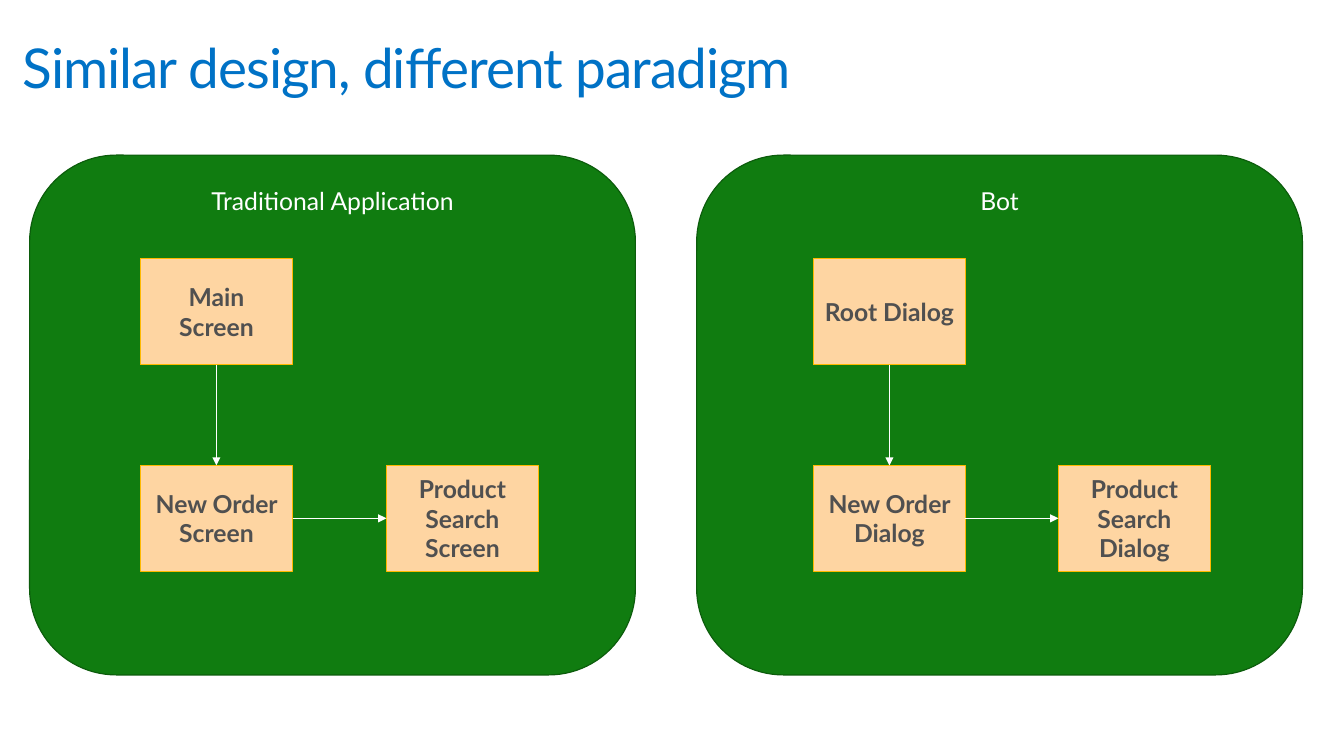
import pptx
import pptx.util
import pptx.dml.color
import pptx.enum.shapes
import pptx.enum.text
import pptx.oxml
import pptx.oxml.ns

RGB = pptx.dml.color.RGBColor
SHAPE = pptx.enum.shapes.MSO_SHAPE
ALIGN = pptx.enum.text.PP_ALIGN
ANCHOR = pptx.enum.text.MSO_ANCHOR

BLUE = RGB(0x00, 0x72, 0xC6)
GREEN = RGB(0x10, 0x7C, 0x10)
DARK = RGB(0x0C, 0x5C, 0x0C)
PEACH = RGB(0xFE, 0xD5, 0xA2)
GOLD = RGB(0xFE, 0xB9, 0x00)
GRAY = RGB(0x50, 0x50, 0x50)
WHITE = RGB(0xFF, 0xFF, 0xFF)

FONT = "Lato"
SCALE = 9144  # EMU per px, 100 px to the inch
TOP, LEFT, BOTTOM, RIGHT = range(4)
BOX_W, BOX_H = 154, 107
ROW_ONE, ROW_TWO = 262, 471


def px(*nums):
    return [pptx.util.Emu(num * SCALE) for num in nums]


def write(shape, text, size=18, color=WHITE, bold=False, align=ALIGN.CENTER,
          anchor=ANCHOR.TOP, inset=None, space=None, track=None):
    frame = shape.text_frame
    frame.word_wrap = True
    frame.vertical_anchor = anchor
    if inset is not None:
        pad = px(inset)[0]
        frame.margin_left = frame.margin_right = pad
        frame.margin_top = frame.margin_bottom = pad
    para = frame.paragraphs[0]
    para.alignment = align
    para.line_spacing = space
    run = para.add_run()
    run.text = text
    font = run.font
    font.name = FONT
    font.size = pptx.util.Pt(size)
    font.bold = bold
    font.color.rgb = color
    if track is not None:
        font._element.set("spc", str(track))


def draw(group, kind, place, fill, edge, width):
    shape = group.shapes.add_shape(kind, *px(*place))
    shape.shadow.inherit = False
    shape.fill.solid()
    shape.fill.fore_color.rgb = fill
    shape.line.color.rgb = edge
    shape.line.width = pptx.util.Pt(width)
    return shape


def add_box(group, x, y, text):
    box = draw(group, SHAPE.RECTANGLE, (x, y, BOX_W, BOX_H), PEACH, GOLD, 0.75)
    write(box, text, color=GRAY, bold=True, anchor=ANCHOR.MIDDLE)
    return box


def add_arrow(group, start, side, end, goal):
    kind = pptx.enum.shapes.MSO_CONNECTOR.STRAIGHT
    arrow = group.shapes.add_connector(kind, 0, 0, 0, 0)
    arrow.begin_connect(start, side)
    arrow.end_connect(end, goal)
    arrow.line.color.rgb = WHITE
    arrow.line.width = pptx.util.Pt(0.75)
    make = pptx.oxml.ns.qn
    head = arrow.line._get_or_add_ln().makeelement(
        make("a:tailEnd"), {"type": "triangle"})
    arrow.line._get_or_add_ln().append(head)
    props = arrow._element.spPr
    props.append(props.makeelement(make("a:effectLst"), {}))


def add_panel(slide, x, first, third, label, names):
    group = slide.shapes.add_group_shape()
    panel = draw(group, SHAPE.ROUNDED_RECTANGLE, (x, 157, 613, 526),
                 GREEN, DARK, 0.85)
    write(panel, label)

    # Screens or dialogs
    spots = [(first, ROW_ONE), (first, ROW_TWO), (third, ROW_TWO)]
    main_box, order, search = [
        add_box(group, *spot, name) for spot, name in zip(spots, names)]

    # Flow
    add_arrow(group, main_box, BOTTOM, order, TOP)
    add_arrow(group, order, RIGHT, search, LEFT)


def main():
    deck = pptx.Presentation()
    deck.slide_width, deck.slide_height = px(1360, 765)
    slide = deck.slides.add_slide(deck.slide_layouts[6])

    # Title
    title = slide.shapes.add_textbox(*px(13, 32, 1300, 100))
    write(title, "Similar design, different paradigm", size=40, color=BLUE,
          align=ALIGN.LEFT, inset=10, space=0.9, track=-70)

    # Side-by-side panels
    add_panel(slide, 30, 142, 391, "Traditional Application",
              ["Main Screen", "New Order Screen", "Product Search Screen"])
    add_panel(slide, 705, 823, 1071, "Bot",
              ["Root Dialog", "New Order Dialog", "Product Search Dialog"])

    deck.save("out.pptx")


if __name__ == "__main__":
    main()
